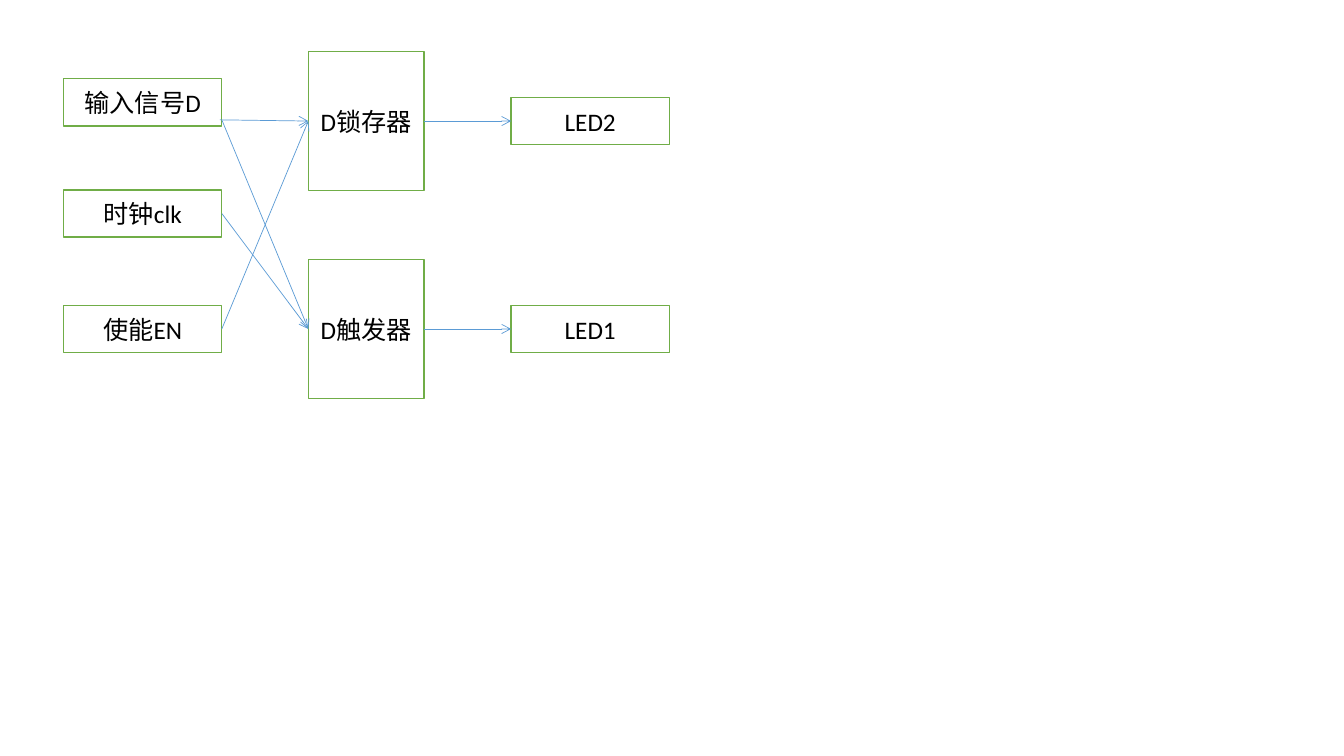
from lxml import etree
from pptx import Presentation
from pptx.dml.color import RGBColor
from pptx.enum.shapes import MSO_CONNECTOR, MSO_SHAPE
from pptx.enum.text import MSO_ANCHOR, PP_ALIGN
from pptx.oxml.ns import qn
from pptx.util import Cm, Pt

RECTANGLE = MSO_SHAPE.RECTANGLE
STRAIGHT = MSO_CONNECTOR.STRAIGHT
MIDDLE = MSO_ANCHOR.MIDDLE
CENTER = PP_ALIGN.CENTER

WHITE = RGBColor(0xFF, 0xFF, 0xFF)
BLACK = RGBColor(0x00, 0x00, 0x00)
GREEN = RGBColor(0x70, 0xAD, 0x47)
BLUE = RGBColor(0x5B, 0x9B, 0xD5)

INPUT_LEFT, MEMORY_LEFT, LED_LEFT = 1.6, 7.77, 12.88
SIGNAL_SIZE = (3.99, 1.19)
MEMORY_SIZE = (2.92, 3.51)
INPUT_RIGHT = INPUT_LEFT + SIGNAL_SIZE[0]
MEMORY_RIGHT = MEMORY_LEFT + MEMORY_SIZE[0]
LATCH_Y, CLOCK_Y, FLIP_FLOP_Y = 3.05, 5.38, 8.29
DATA_Y = 3.02

prs = Presentation()
prs.slide_width = Cm(33.87)
prs.slide_height = Cm(19.05)
slide = prs.slides.add_slide(prs.slide_layouts[6])

blocks = [
    ("D锁存器", MEMORY_LEFT, LATCH_Y, MEMORY_SIZE),
    ("D触发器", MEMORY_LEFT, FLIP_FLOP_Y, MEMORY_SIZE),
    ("输入信号D", INPUT_LEFT, 2.58, SIGNAL_SIZE),
    ("时钟clk", INPUT_LEFT, CLOCK_Y, SIGNAL_SIZE),
    ("使能EN", INPUT_LEFT, FLIP_FLOP_Y, SIGNAL_SIZE),
    ("LED1", LED_LEFT, FLIP_FLOP_Y, SIGNAL_SIZE),
    ("LED2", LED_LEFT, LATCH_Y, SIGNAL_SIZE),
]
for label, left, center_y, (width, height) in blocks:
    block = slide.shapes.add_shape(
        RECTANGLE, Cm(left), Cm(center_y - height / 2), Cm(width), Cm(height))
    block.shadow.inherit = False
    block.fill.solid()
    block.fill.fore_color.rgb = WHITE
    block.line.color.rgb = GREEN
    block.line.width = Pt(1)
    block.text_frame.word_wrap = True
    block.text_frame.vertical_anchor = MIDDLE
    paragraph = block.text_frame.paragraphs[0]
    paragraph.alignment = CENTER
    run = paragraph.add_run()
    run.text = label
    run.font.name = "Calibri"
    run.font.size = Pt(18)
    run.font.color.rgb = BLACK

signals = [
    (INPUT_RIGHT - 0.05, DATA_Y, MEMORY_LEFT, LATCH_Y),
    (INPUT_RIGHT, DATA_Y, MEMORY_LEFT, FLIP_FLOP_Y),
    (INPUT_RIGHT, FLIP_FLOP_Y, MEMORY_LEFT, LATCH_Y),
    (INPUT_RIGHT, CLOCK_Y, MEMORY_LEFT, FLIP_FLOP_Y),
    (MEMORY_RIGHT, LATCH_Y, LED_LEFT, LATCH_Y),
    (MEMORY_RIGHT, FLIP_FLOP_Y, LED_LEFT, FLIP_FLOP_Y),
]
for ends in signals:
    signal = slide.shapes.add_connector(STRAIGHT, *[Cm(end) for end in ends])
    signal.line.color.rgb = BLUE
    signal.line.width = Pt(0.5)
    properties = signal._element.spPr
    arrowhead = etree.SubElement(properties.find(qn("a:ln")), qn("a:tailEnd"))
    arrowhead.set("type", "arrow")
    etree.SubElement(properties, qn("a:effectLst"))

prs.save("out.pptx")
